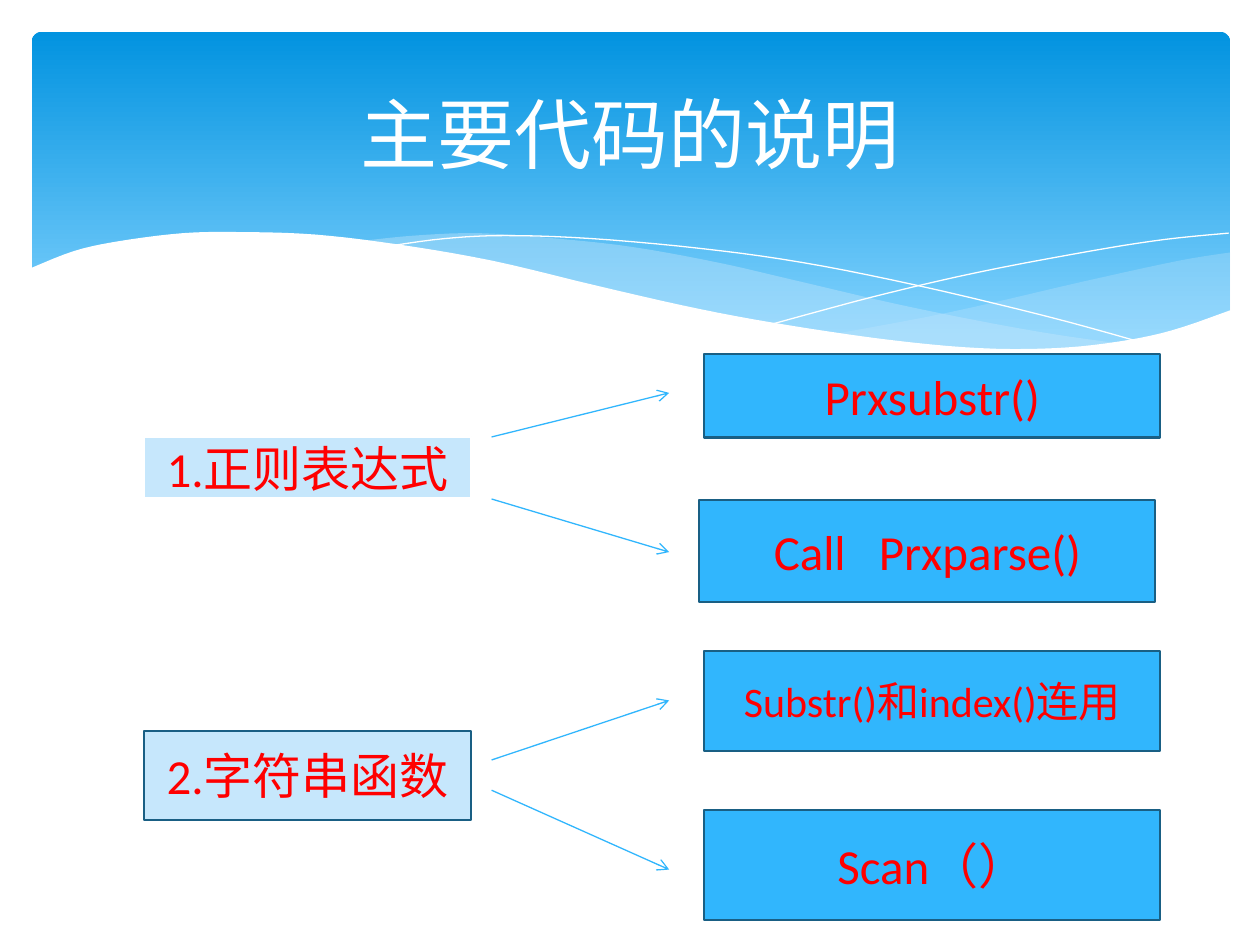
from lxml import etree
from pptx import Presentation
from pptx.dml.color import RGBColor
from pptx.enum.shapes import MSO_CONNECTOR, MSO_SHAPE
from pptx.enum.text import MSO_ANCHOR, PP_ALIGN
from pptx.oxml.ns import qn
from pptx.util import Cm, Pt

RECT, ROUND = MSO_SHAPE.RECTANGLE, MSO_SHAPE.ROUNDED_RECTANGLE
STRAIGHT = MSO_CONNECTOR.STRAIGHT
MIDDLE, CENTER = MSO_ANCHOR.MIDDLE, PP_ALIGN.CENTER
FONT = "Calibri"
COLORS = {
    "white": "FFFFFF", "red": "FF0000", "pale": "C6E7FC", "blue": "31B6FD",
    "edge": "195F84", "sky_top": "0293E0", "sky_bottom": "83D3FE",
}

RIGHT_WAVE = [
    [(24.16, 4.45), (23.11, 4.62), (21.23, 5.03), (18.49, 5.66), (16.15, 6.1)],
    [(16.15, 6.1), (17.63, 6.27), (18.9, 6.4), (20.29, 6.4), (21.74, 6.3),
     (22.94, 6.05), (24.16, 5.64)],
]
MIDDLE_WAVE = [
    [(6.63, 4.22), (7.7, 4.11), (9.02, 4.06), (10.59, 4.17), (12.12, 4.34),
     (13.82, 4.65), (15.34, 5), (17.3, 5.46), (19.05, 5.82), (20.62, 6.1),
     (22.05, 6.3)],
    [(22.05, 6.3), (21.13, 6.4), (19.86, 6.43), (18.36, 6.38), (16.64, 6.17),
     (14.63, 5.84), (12.83, 5.46), (10.77, 5), (9.09, 4.62), (8.05, 4.42),
     (6.63, 4.22)],
]
FALLING_LINE = [
    [(7.21, 4.32), (8.33, 4.17), (9.55, 4.11), (11.28, 4.17), (13.49, 4.37),
     (15.52, 4.65), (17.83, 5.11), (20.47, 5.74), (22.4, 6.27)],
]
RISING_LINE = [
    [(14.94, 5.89), (17.02, 5.33), (19.08, 4.85), (21.36, 4.42), (22.83, 4.19),
     (24.13, 4.06)],
]
WHITE_WAVE = [
    [(-0.05, 4.78), (0.86, 4.42), (1.78, 4.22), (3.07, 4.06), (4.27, 4.04),
     (5.72, 4.09), (7.39, 4.29), (9.3, 4.62), (11.43, 5.13), (13.46, 5.59),
     (15.27, 5.92), (17.35, 6.22), (19.13, 6.38), (20.62, 6.38), (21.89, 6.25),
     (22.99, 6.02), (24.18, 5.61)],
    [(24.18, 7.72), (-0.05, 7.72)],
]


def rgb(name):
    return RGBColor.from_string(COLORS[name])


def smooth(points, steps=5):
    ends = [points[0], *points, points[-1]]
    curve = [points[0]]
    for a, b, c, d in zip(ends, ends[1:], ends[2:], ends[3:]):
        for i in range(1, steps + 1):
            t = i / steps
            curve.append(tuple(
                (2 * q + (r - p) * t + (2 * p - 5 * q + 4 * r - u) * t ** 2
                 + (3 * q - p - 3 * r + u) * t ** 3) / 2
                for p, q, r, u in zip(a, b, c, d)))
    return curve


def add_curve(s, x, y, curves, fill=None, alpha=None):
    points = [(Cm(x + px), Cm(y + py)) for c in curves for px, py in smooth(c)]
    builder = s.shapes.build_freeform(*points[0])
    builder.add_line_segments(points[1:], close=fill is not None)
    sp = builder.convert_to_shape()
    sp.shadow.inherit = False
    if fill is None:
        sp.fill.background()
        sp.line.color.rgb = rgb("white")
        sp.line.width = Pt(0)
        return
    sp.line.fill.background()
    sp.fill.solid()
    sp.fill.fore_color.rgb = rgb(fill)
    if alpha:
        color = sp.fill._xPr.find(qn("a:solidFill"))[0]
        etree.SubElement(color, qn("a:alpha"), val=str(alpha * 1000))


def add_banner(s, x, y, w, h):
    sp = s.shapes.add_shape(ROUND, Cm(x), Cm(y), Cm(w), Cm(h))
    sp.adjustments[0] = 0.03
    sp.shadow.inherit = False
    sp.line.fill.background()
    sp.fill.gradient()
    sp.fill.gradient_angle = 270
    stops = zip(sp.fill.gradient_stops, ("sky_top", "sky_bottom"), (0, 0.9))
    for stop, color, position in stops:
        stop.color.rgb = rgb(color)
        stop.position = position
    add_curve(s, x, y, RIGHT_WAVE, "pale", 29)
    add_curve(s, x, y, MIDDLE_WAVE, "pale", 40)
    add_curve(s, x, y, FALLING_LINE)
    add_curve(s, x, y, RISING_LINE)
    add_curve(s, x, y, WHITE_WAVE, "white")


def write(sp, text, size, color):
    tf = sp.text_frame
    tf.word_wrap = True
    tf.vertical_anchor = MIDDLE
    p = tf.paragraphs[0]
    p.alignment = CENTER
    r = p.add_run()
    r.text = text
    r.font.name = FONT
    r.font.size = Pt(size)
    r.font.color.rgb = rgb(color)


def add_title(s, x, y, w, h, text):
    title = s.shapes.title
    title.left, title.top, title.width, title.height = Cm(x), Cm(y), Cm(w), Cm(h)
    write(title, text, 44, "white")
    title.element.getparent().append(title.element)


def add_box(s, x, y, w, h, text, fill, line="edge", size=28):
    sp = s.shapes.add_shape(RECT, Cm(x), Cm(y), Cm(w), Cm(h))
    sp.shadow.inherit = False
    sp.fill.solid()
    sp.fill.fore_color.rgb = rgb(fill)
    sp.line.color.rgb = rgb(line)
    sp.line.width = Pt(1.25)
    write(sp, text, size, "red")


def add_arrow(s, x1, y1, x2, y2):
    c = s.shapes.add_connector(STRAIGHT, Cm(x1), Cm(y1), Cm(x2), Cm(y2))
    c.line.color.rgb = rgb("blue")
    c.line.width = Pt(0.75)
    etree.SubElement(c.line._get_or_add_ln(), qn("a:tailEnd"), type="arrow")
    etree.SubElement(c.element.spPr, qn("a:effectLst"))


def add_branch(s, x, y, topic, topic_y, topic_h, topic_line, arrows, functions):
    add_box(s, x, y + topic_y, 6.6, topic_h, topic, "pale", topic_line)
    for start, end in arrows:
        add_arrow(s, x + 7.01, y + start, x + 10.59, y + end)
    for dx, dy, h, text, size in functions:
        add_box(s, x + dx, y + dy, 9.19, h, text, "blue", size=size)


def main():
    prs = Presentation()
    prs.slide_width, prs.slide_height = Cm(25.4), Cm(19.05)
    s = prs.slides.add_slide(prs.slide_layouts[5])
    add_banner(s, 0.64, 0.64, 24.16, 6.86)
    add_title(s, 1.27, 0.94, 22.86, 3.48, "主要代码的说明")
    add_branch(s, 2.9, 7.14, "1.正则表达式", 1.67, 1.24, "white",
               [(1.67, 0.78), (2.92, 3.99)],
               [(11.3, 0, 1.68, "Prxsubstr()", 28),
                (11.2, 2.94, 2.06, "Call   Prxparse()", 28)])
    add_branch(s, 2.9, 13.13, "2.字符串函数", 1.6, 1.8, "edge",
               [(2.19, 0.99), (2.8, 4.4)],
               [(11.3, 0, 2.01, "Substr()和index()连用", 24),
                (11.3, 3.2, 2.21, "Scan（）", 28)])
    prs.save("out.pptx")


if __name__ == "__main__":
    main()
